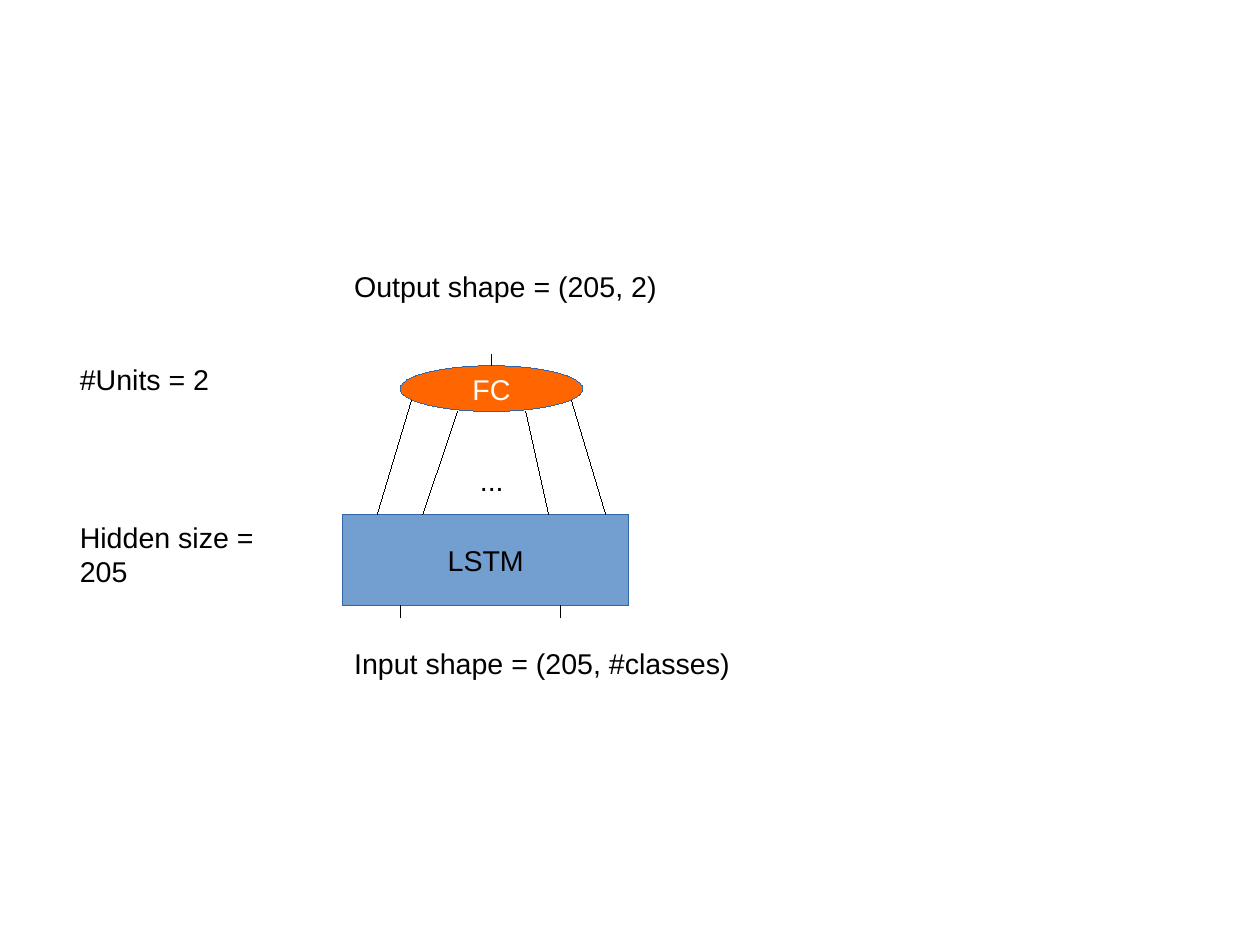
from dataclasses import dataclass

from lxml import etree
from pptx import Presentation
from pptx.dml.color import RGBColor
from pptx.enum.shapes import MSO_CONNECTOR, MSO_SHAPE
from pptx.enum.text import MSO_ANCHOR, MSO_AUTO_SIZE, PP_ALIGN
from pptx.oxml.ns import qn
from pptx.util import Pt

RECTANGLE, ELLIPSE = MSO_SHAPE.RECTANGLE, MSO_SHAPE.OVAL
STRAIGHT = MSO_CONNECTOR.STRAIGHT
MIDDLE, CENTER, LEFT = MSO_ANCHOR.MIDDLE, PP_ALIGN.CENTER, PP_ALIGN.LEFT
GROW = MSO_AUTO_SIZE.SHAPE_TO_FIT_TEXT


@dataclass(frozen=True)
class Theme:
    font: str = "Arial"
    size: Pt = Pt(18)
    hairline: Pt = Pt(0.01)
    black: RGBColor = RGBColor(0x00, 0x00, 0x00)
    white: RGBColor = RGBColor(0xFF, 0xFF, 0xFF)
    blue: RGBColor = RGBColor(0x72, 0x9F, 0xCF)
    outline: RGBColor = RGBColor(0x34, 0x65, 0xA4)
    orange: RGBColor = RGBColor(0xFF, 0x66, 0x00)


theme = Theme()


def write(shape, wording, color, align, wrap):
    frame = shape.text_frame
    frame.word_wrap = wrap
    frame.margin_left = frame.margin_right = Pt(7.2)
    frame.margin_top = frame.margin_bottom = Pt(3.6)
    paragraph = frame.paragraphs[0]
    paragraph.alignment = align
    run = paragraph.add_run()
    run.text = wording
    run.font.name, run.font.size = theme.font, theme.size
    run.font.color.rgb = color


presentation = Presentation()
presentation.slide_width, presentation.slide_height = Pt(793.7), Pt(595.28)
slide = presentation.slides.add_slide(presentation.slide_layouts[6])
shapes = slide.shapes

# Network layers
layers = [
    ("LSTM", RECTANGLE, (216, 324, 180, 57.6), theme.blue, theme.black),
    ("FC", ELLIPSE, (252, 230.4, 115.2, 28.8), theme.orange, theme.white),
]
for wording, outline, place, fill, color in layers:
    layer = shapes.add_shape(outline, *map(Pt, place))
    layer.shadow.inherit = False
    layer.fill.solid()
    layer.fill.fore_color.rgb = fill
    layer.line.color.rgb = theme.outline
    layer.line.width = theme.hairline
    write(layer, wording, color, CENTER, False)
    layer.text_frame.vertical_anchor = MIDDLE

# Connections between the layers, then the output and input stubs
connections = [
    (237.6, 324, 259.2, 252),
    (266.4, 324, 288, 259.2),
    (360, 252, 381.6, 324),
    (331.2, 259.2, 345.6, 324),
    (309.6, 223.2, 309.6, 230.4),
    (352.8, 381.6, 352.8, 388.8),
    (252, 381.6, 252, 388.8),
]
for ends in connections:
    connection = shapes.add_connector(STRAIGHT, *map(Pt, ends))
    connection.line.color.rgb = theme.black
    connection.line.width = theme.hairline
    etree.SubElement(connection._element.spPr, qn("a:effectLst"))

# Labels
labels = [
    ("Hidden size = 205", (43.2, 324, 129.6, 47.52), True),
    ("...", (295.2, 288, 29.52, 27.36), False),
    ("Input shape = (205, #classes)", (216, 403.2, 280.8, 47.52), True),
    ("#Units = 2", (43.2, 224.4, 100.8, 27.36), True),
    ("Output shape = (205, 2)", (216, 165.6, 205.2, 27.36), False),
]
for wording, place, wrap in labels:
    label = shapes.add_textbox(*map(Pt, place))
    write(label, wording, theme.black, LEFT, wrap)
    label.text_frame.auto_size = GROW

presentation.save("out.pptx")
